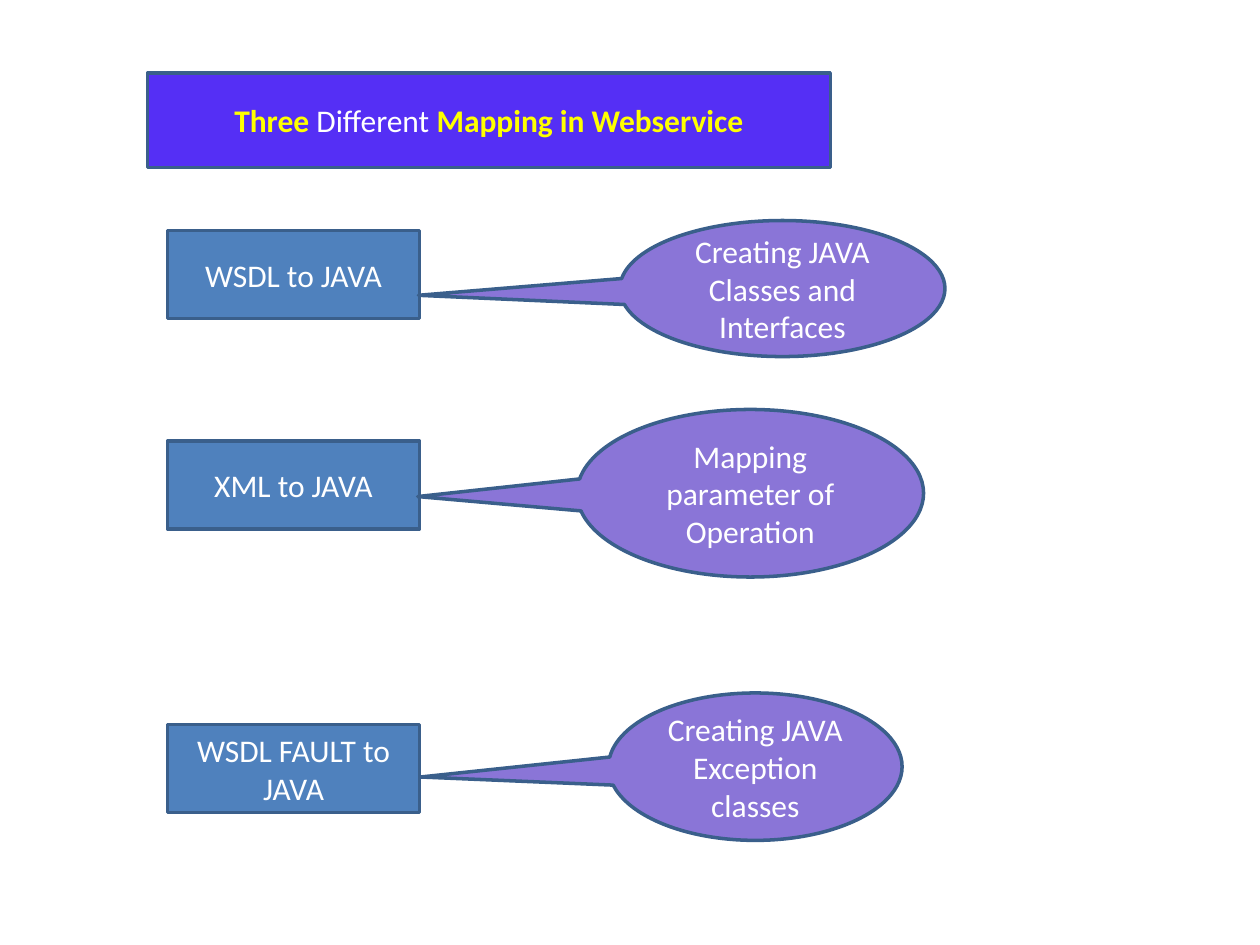
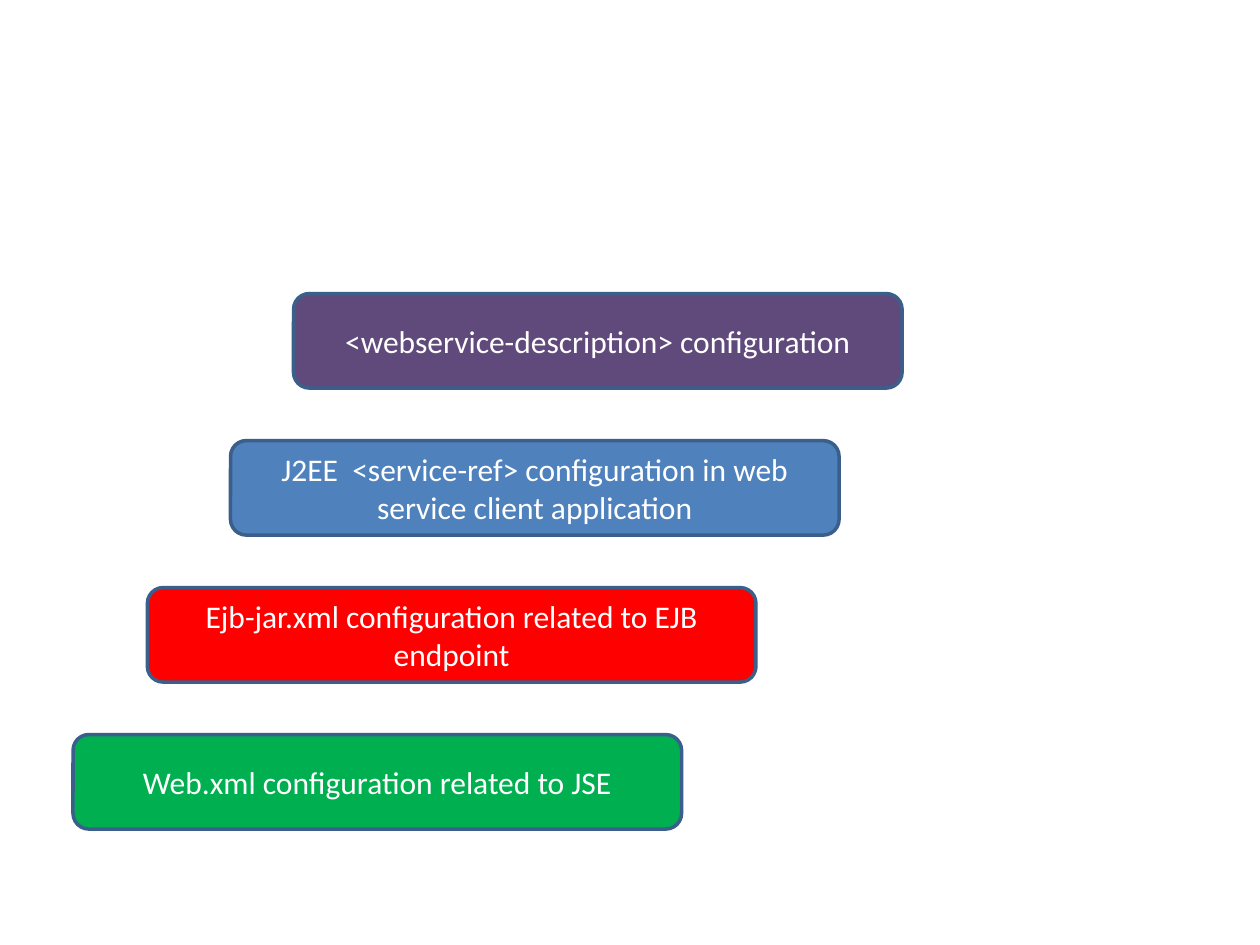
import pptx
import pptx.util
import pptx.dml.color
import pptx.enum.shapes
import pptx.enum.text

Inches = pptx.util.Inches
Pt = pptx.util.Pt
SHAPES = pptx.enum.shapes.MSO_SHAPE

COLORS = {
    "banner": "552FF5",
    "outline": "3A5F8B",
    "blue": "4F81BD",
    "lilac": "8A75D7",
    "purple": "604A7B",
    "red": "FF0000",
    "green": "00B050",
    "highlight": "FFFF00",
    "white": "FFFFFF",
}


def rgb(name):
    return pptx.dml.color.RGBColor.from_string(COLORS[name])


def style_shape(shape, fill, runs):
    shape.fill.solid()
    shape.fill.fore_color.rgb = rgb(fill)
    shape.line.color.rgb = rgb("outline")
    shape.line.width = Pt(2)
    shape.shadow.inherit = False
    frame = shape.text_frame
    frame.word_wrap = True
    frame.auto_size = pptx.enum.text.MSO_AUTO_SIZE.NONE
    frame.vertical_anchor = pptx.enum.text.MSO_ANCHOR.MIDDLE
    paragraph = frame.paragraphs[0]
    paragraph.alignment = pptx.enum.text.PP_ALIGN.CENTER
    for text, color, bold in runs:
        run = paragraph.add_run()
        run.text = text
        run.font.name = "Calibri"
        run.font.size = Pt(18)
        run.font.bold = bold
        run.font.color.rgb = rgb(color)


presentation = pptx.Presentation()
presentation.slide_width = Inches(10)
presentation.slide_height = Inches(7.5)
title_only_layout = presentation.slide_layouts[5]
blank_layout = presentation.slide_layouts[6]

mapping_slide = presentation.slides.add_slide(title_only_layout)
title = mapping_slide.shapes.title
title.left, title.top = Inches(1.17), Inches(0.58)
title.width, title.height = Inches(5.42), Inches(0.75)
style_shape(title, "banner", [
    ("Three", "highlight", True),
    (" Different ", "white", False),
    ("Mapping in Webservice", "highlight", True),
])

mappings = [
    ("WSDL to JAVA", 1.83, "Creating JAVA Classes and Interfaces",
     (4.92, 1.75, 2.58, 1.08), (-1.12, 0.05)),
    ("XML to JAVA", 3.5, "Mapping parameter of Operation",
     (4.58, 3.25, 2.75, 1.33), (-0.96, 0.02)),
    ("WSDL FAULT to JAVA", 5.75, "Creating JAVA Exception classes",
     (4.83, 5.5, 2.33, 1.17), (-1.14, 0.07)),
]
for name, top, purpose, callout_bounds, pointer in mappings:
    box = mapping_slide.shapes.add_shape(
        SHAPES.RECTANGLE, Inches(1.33), Inches(top), Inches(2), Inches(0.7))
    style_shape(box, "blue", [(name, "white", False)])
    callout = mapping_slide.shapes.add_shape(
        SHAPES.OVAL_CALLOUT, *[Inches(length) for length in callout_bounds])
    callout.adjustments[0], callout.adjustments[1] = pointer
    style_shape(callout, "lilac", [(purpose, "white", False)])

configuration_slide = presentation.slides.add_slide(blank_layout)
first_top = 2.33
step_pitch = 3.5 / 3
steps = [
    ("<webservice-description> configuration", 2.33, "purple"),
    ("J2EE  <service-ref> configuration in web service client application", 1.83, "blue"),
    ("Ejb-jar.xml configuration related to EJB endpoint", 1.17, "red"),
    ("Web.xml configuration related to JSE", 0.58, "green"),
]
for index, (text, left, fill) in enumerate(steps):
    step = configuration_slide.shapes.add_shape(
        SHAPES.ROUNDED_RECTANGLE, Inches(left), Inches(first_top + index * step_pitch),
        Inches(4.83), Inches(0.75))
    style_shape(step, fill, [(text, "white", False)])

presentation.save("out.pptx")
